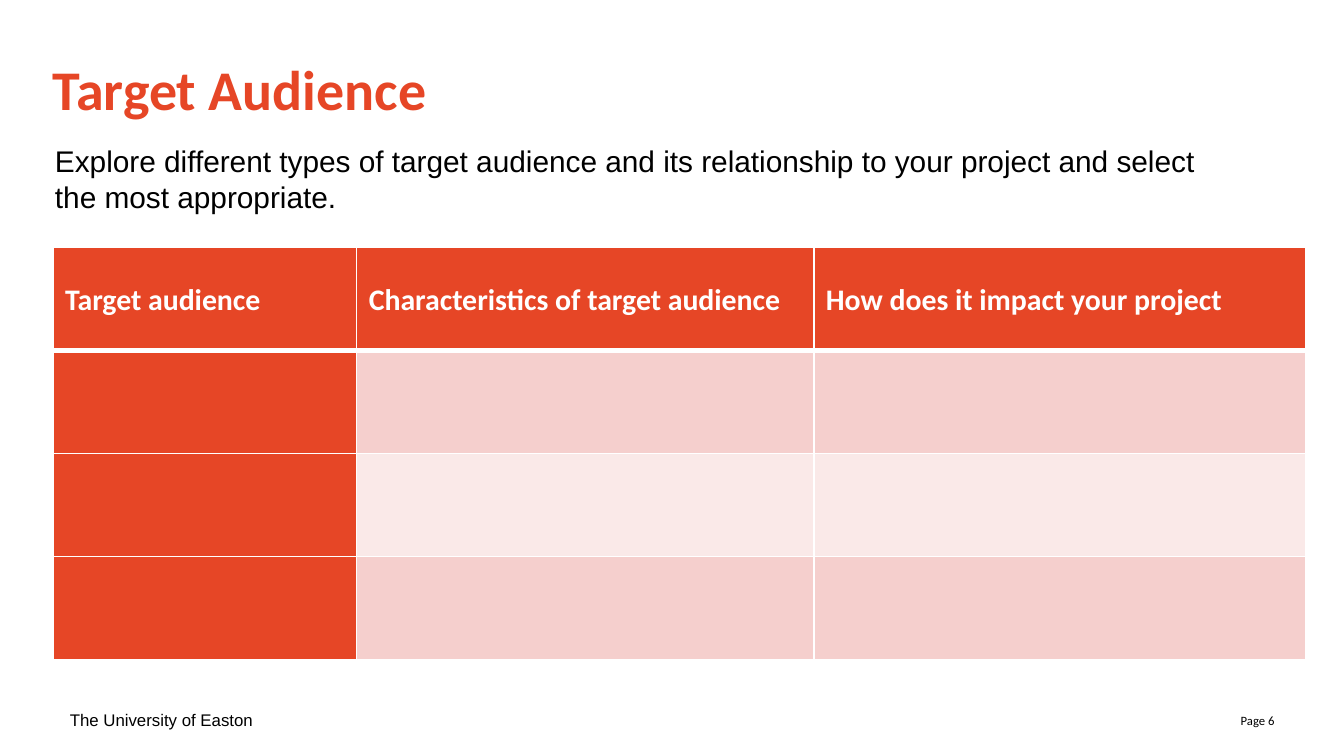
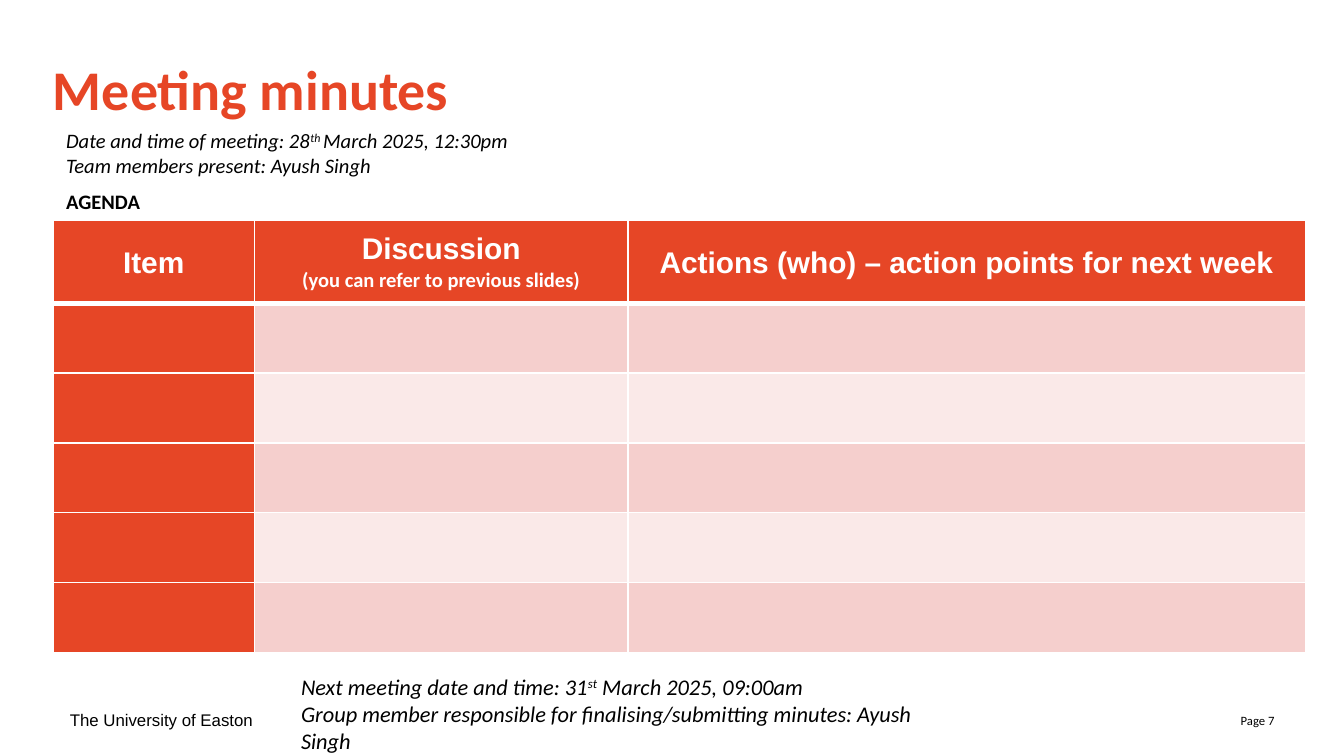
from lxml.etree import SubElement
from pptx import Presentation
from pptx.dml.color import RGBColor
from pptx.enum.text import MSO_ANCHOR as Anchor, MSO_AUTO_SIZE as AutoSize, PP_ALIGN as Align
from pptx.oxml.ns import qn
from pptx.util import Cm, Pt

COLORS = {"accent": "E64626", "band_dark": "F5CFCD", "band_light": "FAE9E8",
          "white": "FFFFFF", "black": "000000"}
FOOTER = "The University of Easton"
LEFT = 1.0

# A paragraph is (text, style); text between carets is superscript.
BODY = {"size": 16, "name": "Arial"}
DETAIL = {"size": 11, "italic": True}
NEXT = {"size": 12, "italic": True}
HEAD = {"size": 16, "bold": True, "color": "white", "spacing": 1.07}
HEAD_CENTER = {**HEAD, "name": "Arial", "align": Align.CENTER}
HEAD_NOTE = {**HEAD_CENTER, "name": "Calibri", "size": 11}

SLIDES = [
    {
        "title": "Target Audience",
        "page": 6,
        "table": {
            "top": 4.67,
            "columns": [5.74, 8.64, 9.29],
            "rows": [1.95] * 4,
            "header": [[("Target audience", HEAD)],
                       [("Characteristics of target audience", HEAD)],
                       [("How does it impact your project", HEAD)]],
        },
        "notes": [
            {"box": (0.79, 2.57, 22.5, 2.31), "wrap": False, "paragraphs": [
                ("Explore different types of target audience and its relationship "
                 "to your project and select", BODY),
                ("the most appropriate.", BODY)]},
        ],
    },
    {
        "title": "Meeting minutes",
        "page": 7,
        "table": {
            "top": 4.17,
            "columns": [3.81, 7.06, 12.8],
            "rows": [1.56] + [1.32] * 5,
            "header": [[("Item", HEAD_CENTER)],
                       [("Discussion", HEAD_CENTER),
                        ("(you can refer to previous slides)", HEAD_NOTE)],
                       [("Actions (who) – action points for next week", HEAD_CENTER)]],
        },
        "notes": [
            {"box": (LEFT, 2.29, 13.06, 1.88), "anchor": Anchor.MIDDLE, "paragraphs": [
                ("Date and time of meeting: 28^th ^March 2025, 12:30pm", DETAIL),
                ("Team members present: Ayush Singh", DETAIL),
                ("AGENDA", {"size": 11, "bold": True, "before": 6})]},
            {"box": (5.44, 12.6, 12.7, 1.27), "paragraphs": [
                ("Next meeting date and time: 31^st^ March 2025, 09:00am", NEXT),
                ("Group member responsible for finalising/submitting minutes: "
                 "Ayush Singh", NEXT)]},
        ],
    },
]


def rgb(name):
    return RGBColor.from_string(COLORS[name])


def write(frame, paragraphs):
    for index, (text, style) in enumerate(paragraphs):
        paragraph = frame.add_paragraph() if index else frame.paragraphs[0]
        for part, piece in enumerate(text.split("^")):
            run = paragraph.add_run()
            run.text = piece
            if part % 2:
                run._r.get_or_add_rPr().set("baseline", "30000")
        font = paragraph.font
        font.name = style.get("name", "Calibri")
        font.size = Pt(style["size"])
        font.bold = style.get("bold", False)
        font.italic = style.get("italic", False)
        font.color.rgb = rgb(style.get("color", "black"))
        paragraph.alignment = style.get("align", Align.LEFT)
        paragraph.line_spacing = style.get("spacing", 1.0)
        paragraph.space_before = Pt(style.get("before", 0))


def add_note(slide, box, paragraphs, anchor=Anchor.TOP, wrap=True):
    frame = slide.shapes.add_textbox(*map(Cm, box)).text_frame
    frame.word_wrap = wrap
    frame.vertical_anchor = anchor
    write(frame, paragraphs)


def set_title(slide, text):
    title = slide.shapes.title
    title.left, title.top, title.width, title.height = map(Cm, (LEFT, 1.04, 23.42, 1.35))
    frame = title.text_frame
    frame.margin_left = frame.margin_top = frame.margin_right = frame.margin_bottom = 0
    frame.auto_size = AutoSize.NONE
    frame.vertical_anchor = Anchor.TOP
    write(frame, [(text, {"size": 30, "bold": True, "color": "accent"})])


def add_footer(slide, page):
    add_note(slide, (1.07, 13.23, 5.92, 0.76),
             [(FOOTER, {"size": 9, "name": "Arial"})], Anchor.MIDDLE)
    add_note(slide, (18.42, 13.23, 5.92, 0.76),
             [(f"Page {page}", {"size": 6.8, "align": Align.RIGHT})], Anchor.MIDDLE)


def set_borders(cell, widths):
    """Draw white borders; widths are points for left, right, top, bottom."""
    properties = cell._tc.get_or_add_tcPr()
    for side, width in zip("LRTB", widths):
        line = SubElement(properties, qn(f"a:ln{side}"), w=str(Pt(width)))
        fill = SubElement(line, qn("a:solidFill"))
        SubElement(fill, qn("a:srgbClr"), val=COLORS["white"])


def cell_color(row, column):
    if row == 0 or column == 0:
        return "accent"
    return "band_dark" if row % 2 else "band_light"


def add_grid(slide, top, columns, rows, header):
    table = slide.shapes.add_table(
        len(rows), len(columns), Cm(LEFT), Cm(top), Cm(sum(columns)), Cm(sum(rows))).table
    for column, width in zip(table.columns, columns):
        column.width = Cm(width)
    for r, height in enumerate(rows):
        table.rows[r].height = Cm(height)
        for c in range(len(columns)):
            cell = table.cell(r, c)
            set_borders(cell, (1, 1, 3 if r == 1 else 1, 1 if r else 3))
            cell.fill.solid()
            cell.fill.fore_color.rgb = rgb(cell_color(r, c))
            if r == 0:
                cell.vertical_anchor = Anchor.MIDDLE
                cell.margin_left = cell.margin_right = Cm(0.23)
                cell.margin_top = cell.margin_bottom = 0
                write(cell.text_frame, header[c])


def main():
    deck = Presentation()
    deck.slide_width, deck.slide_height = Cm(25.4), Cm(14.29)
    for content in SLIDES:
        slide = deck.slides.add_slide(deck.slide_layouts[5])
        add_footer(slide, content["page"])
        set_title(slide, content["title"])
        add_grid(slide, **content["table"])
        for note in content["notes"]:
            add_note(slide, **note)
    deck.save("out.pptx")


if __name__ == "__main__":
    main()
